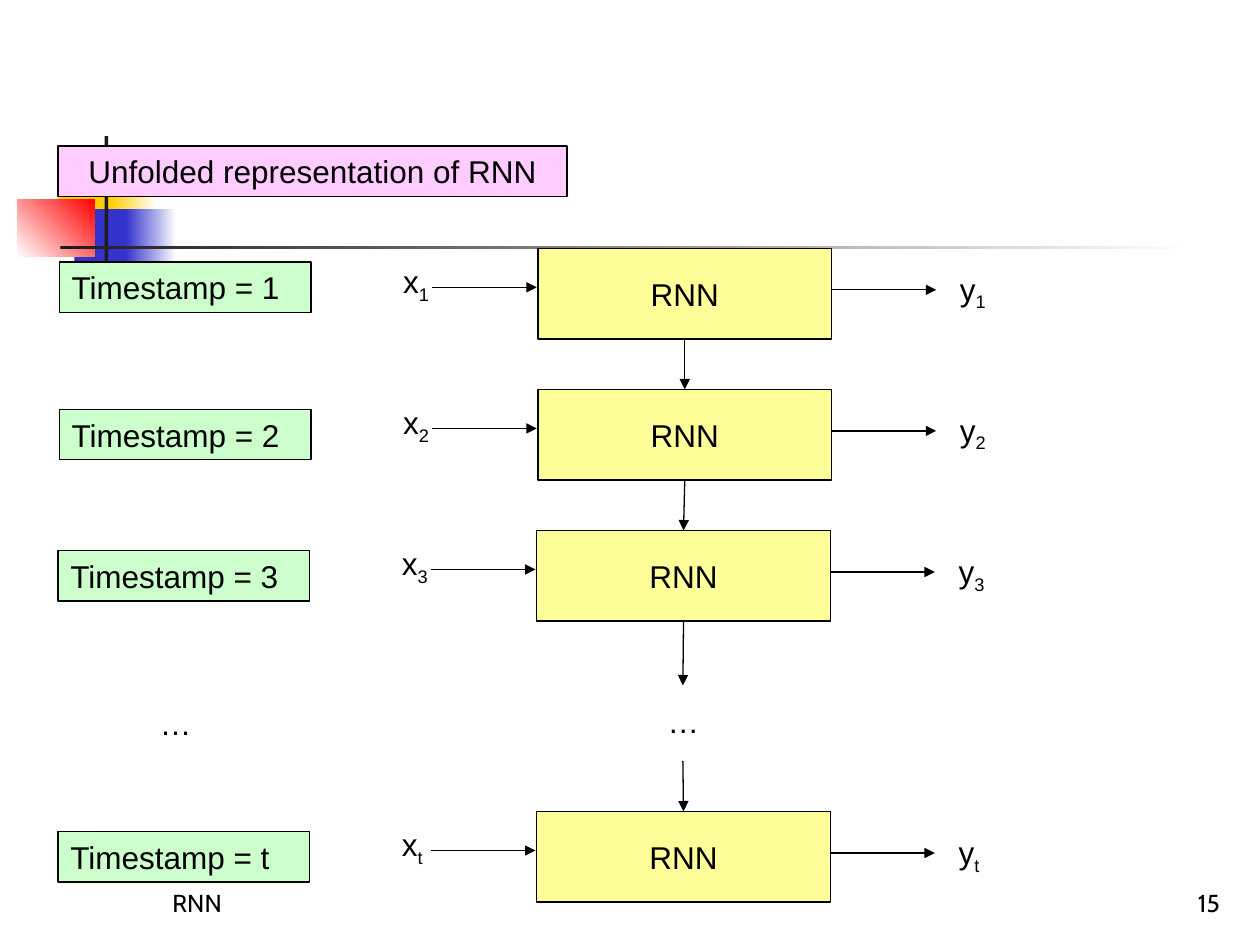
from lxml import etree
from pptx import Presentation
from pptx.dml.color import RGBColor
from pptx.enum import shapes, text
from pptx.oxml.ns import qn
from pptx.util import Inches, Pt

COLORS = {
    "black": "000000", "white": "FFFFFF", "ink": "1C1C1C",
    "gold": "FFCF01", "blue": "3333CC", "red": "FF0000",
    "cell": "FFFF99", "time": "CCFFCC", "title": "FFCCFF",
}
TOP, MIDDLE, BOTTOM = (text.MSO_ANCHOR.TOP, text.MSO_ANCHOR.MIDDLE,
                       text.MSO_ANCHOR.BOTTOM)
LEFT, CENTER, RIGHT = text.PP_ALIGN.LEFT, text.PP_ALIGN.CENTER, text.PP_ALIGN.RIGHT


def color(name):
    return RGBColor.from_string(COLORS[name])


class Diagram:
    font, size, line_width = "Arial", 18, 0.75

    def __init__(self, slide):
        self.slide = slide

    def set_text(self, shape, words, subscript="", align=LEFT, anchor=TOP,
                 wrap=True, font=None, size=None):
        frame = shape.text_frame
        frame.auto_size = text.MSO_AUTO_SIZE.NONE
        frame.word_wrap = wrap
        frame.vertical_anchor = anchor
        paragraph = frame.paragraphs[0]
        paragraph.alignment = align
        paragraph.font.name = font or self.font
        paragraph.font.size = Pt(size or self.size)
        paragraph.font.color.rgb = color("black")
        paragraph.add_run().text = words
        if subscript:
            run = paragraph.add_run()
            run.text = subscript
            run.font._element.set("baseline", "-25000")

    def outline(self, shape, fill):
        shape.fill.solid()
        shape.fill.fore_color.rgb = color(fill)
        shape.line.color.rgb = color("black")
        shape.line.width = Pt(self.line_width)

    def rectangle(self, left, top, width, height):
        shape = self.slide.shapes.add_shape(
            shapes.MSO_SHAPE.RECTANGLE,
            Inches(left), Inches(top), Inches(width), Inches(height))
        shape.shadow.inherit = False
        return shape

    def box(self, left, top, width, height, fill, words, **style):
        shape = self.rectangle(left, top, width, height)
        self.outline(shape, fill)
        self.set_text(shape, words, **style)
        return shape

    def decoration(self, left, top, width, height, start, end=None, angle=0):
        shape = self.rectangle(left, top, width, height)
        shape.line.fill.background()
        if end is None:
            shape.fill.solid()
            shape.fill.fore_color.rgb = color(start)
            return
        shape.fill.gradient()
        shape.fill.gradient_angle = angle
        for stop, name in zip(shape.fill.gradient_stops, (start, end)):
            stop.color.rgb = color(name)

    def label(self, left, top, width, height, words, **style):
        shape = self.slide.shapes.add_textbox(
            Inches(left), Inches(top), Inches(width), Inches(height))
        self.set_text(shape, words, **style)

    def arrow(self, x1, y1, x2, y2, source=None, target=None):
        connector = self.slide.shapes.add_connector(
            shapes.MSO_CONNECTOR.STRAIGHT,
            Inches(x1), Inches(y1), Inches(x2), Inches(y2))
        connector.line.color.rgb = color("black")
        connector.line.width = Pt(self.line_width)
        line = connector.line._get_or_add_ln()
        etree.SubElement(line, qn("a:tailEnd"), type="triangle")
        etree.SubElement(connector._element.spPr, qn("a:effectLst"))
        if source is not None:
            connector.begin_connect(source, 2)
        if target is not None:
            connector.end_connect(target, 0)

    def title(self, left, top, width, height, words):
        shape = self.slide.shapes.title
        shape.left, shape.top = Inches(left), Inches(top)
        shape.width, shape.height = Inches(width), Inches(height)
        self.outline(shape, "title")
        self.set_text(shape, words, align=CENTER, anchor=MIDDLE)
        # Bring the title in front of the decoration
        shape.element.getparent().append(shape.element)

    def step(self, index, left, top, time_top):
        """One timestamp: its tag, input, cell and output."""
        cell = self.box(left, top, 2.33, 0.72, "cell", "RNN",
                        align=CENTER, anchor=MIDDLE, wrap=False)
        self.arrow(left - 0.84, top + 0.31, left - 0.01, top + 0.31)
        self.arrow(left + 2.33, top + 0.33, left + 3.16, top + 0.33)
        width = 0.38 if index == "t" else 0.42
        self.label(left - 1.17, top + 0.06, width, 0.4, "x",
                   subscript=index, wrap=False)
        self.label(left + 3.25, top + 0.12, width, 0.4, "y",
                   subscript=index, wrap=False)
        self.box(left - 3.8, time_top, 2, 0.4, "time", f"Timestamp = {index}")
        return cell


def main():
    presentation = Presentation()
    presentation.slide_width, presentation.slide_height = Inches(10), Inches(7.5)
    slide = presentation.slides.add_slide(presentation.slide_layouts[5])
    diagram = Diagram(slide)

    # Corner decoration and rule
    diagram.decoration(0.46, 1.2, 0.48, 0.52, "gold")
    diagram.decoration(0.88, 1.2, 0.36, 0.52, "gold", "white")
    diagram.decoration(0.59, 1.66, 0.46, 0.52, "blue")
    diagram.decoration(1, 1.66, 0.4, 0.52, "blue", "white")
    diagram.decoration(0.14, 1.58, 0.61, 0.46, "white", "red", angle=45)
    diagram.decoration(0.83, 1.08, 0.03, 1.15, "ink")
    diagram.decoration(0.48, 1.95, 9, 0.03, "ink", "white")

    # Footer and slide number
    footer = dict(anchor=BOTTOM, font="Cabin", size=14)
    diagram.label(1.27, 6.83, 2.08, 0.5, "RNN", **footer)
    diagram.label(7.7, 6.83, 2.08, 0.5, "15", align=RIGHT, **footer)

    # Unfolded steps
    steps = [("1", 4.27, 1.97, 2.08), ("2", 4.27, 3.09, 3.25),
             ("3", 4.26, 4.21, 4.37), ("t", 4.26, 6.44, 6.6)]
    cells = [diagram.step(*step) for step in steps]

    # State passed from cell to cell
    diagram.arrow(5.43, 2.69, 5.43, 3.09, cells[0], cells[1])
    diagram.arrow(5.42, 3.81, 5.42, 4.21, cells[1], cells[2])
    diagram.arrow(5.42, 4.93, 5.42, 5.44, source=cells[2])
    diagram.arrow(5.42, 6.04, 5.42, 6.44, target=cells[3])

    # Omitted steps
    diagram.label(1.17, 5.54, 0.45, 0.4, "…", wrap=False)
    diagram.label(5.2, 5.52, 0.45, 0.4, "…", wrap=False)

    diagram.title(0.46, 1.16, 4.04, 0.4, "Unfolded representation of RNN")
    presentation.save("out.pptx")


if __name__ == "__main__":
    main()
